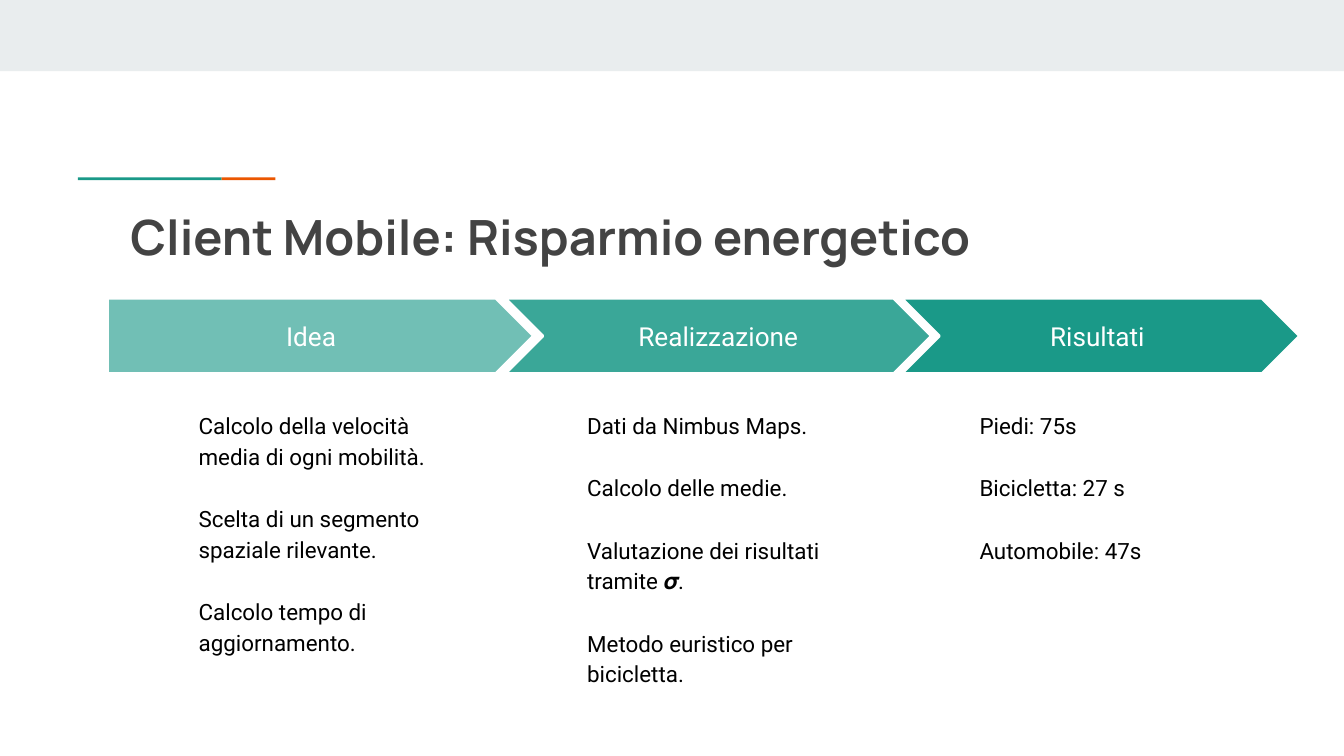
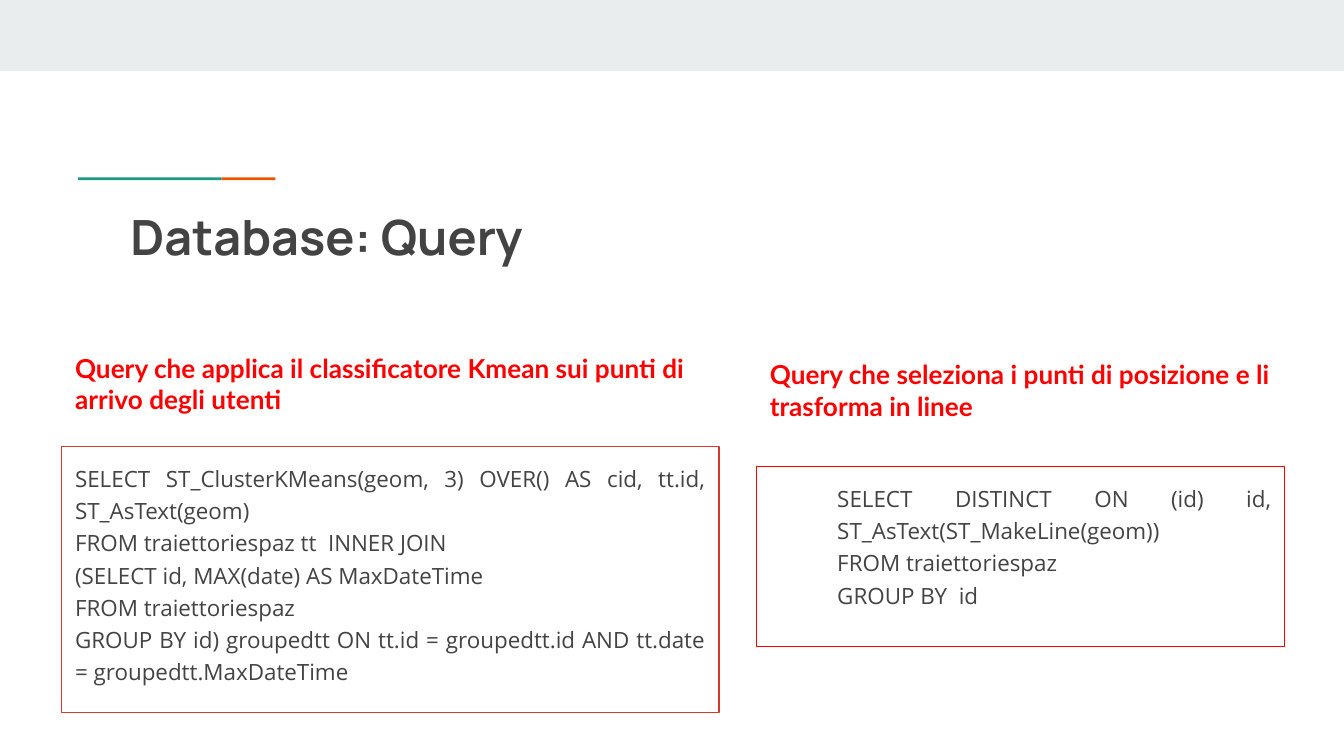
from pptx import Presentation
from pptx.dml.color import RGBColor
from pptx.enum.shapes import MSO_SHAPE
from pptx.enum.text import MSO_ANCHOR, MSO_AUTO_SIZE, PP_ALIGN
from pptx.oxml.ns import qn
from pptx.util import Inches, Pt
from lxml.etree import SubElement

# Shared colours and text formats
TEAL, ORANGE, BAND = "1A9988", "EB5600", "E9EDEE"
WHITE, BLACK, GREY, RED, BRICK = "FFFFFF", "000000", "434343", "FF0000", "D83829"

TITLE = {"name": "Manrope", "size": Pt(26), "bold": True}
STEP = {"name": "Roboto", "size": Pt(14)}
BODY = {"name": "Roboto", "size": Pt(12)}
HEADING = {"name": "Lato", "size": Pt(14), "bold": True}
CODE = {"name": "Open Sans", "size": Pt(12)}


def paint(shape, fill=None, line=None, width=0.75, opacity=100):
    shape.shadow.inherit = False
    if fill:
        shape.fill.solid()
        shape.fill.fore_color.rgb = RGBColor.from_string(fill)
        if opacity < 100:
            tint = shape.fill._xPr.find(qn("a:solidFill"))[0]
            SubElement(tint, qn("a:alpha")).set("val", str(opacity * 1000))
    else:
        shape.fill.background()
    if line:
        shape.line.color.rgb = RGBColor.from_string(line)
        shape.line.width = Pt(width)
    else:
        shape.line.fill.background()


def write(shape, lines, font, colour, layout=None, anchor=MSO_ANCHOR.TOP, left=0.1, gap=0):
    frame = shape.text_frame
    frame.word_wrap = True
    frame.auto_size = MSO_AUTO_SIZE.NONE
    frame.vertical_anchor = anchor
    frame.margin_left = Inches(left)
    frame.margin_top = frame.margin_right = frame.margin_bottom = Inches(0.1)
    for number, line in enumerate(lines):
        paragraph = frame.paragraphs[0] if number == 0 else frame.add_paragraph()
        paragraph.space_before = Pt(gap if number else 0)
        for key, value in ({"alignment": PP_ALIGN.LEFT} | (layout or {})).items():
            setattr(paragraph, key, value)
        run = paragraph.add_run()
        run.text = line
        run.font.color.rgb = RGBColor.from_string(colour)
        for key, value in font.items():
            setattr(run.font, key, value)


# Widescreen, 16:9
deck = Presentation()
deck.slide_width = Inches(10)
deck.slide_height = deck.slide_width * 9 // 16

# Both slides: top band, two-colour rule and title
slides = []
for heading in ("Client Mobile: Risparmio energetico", "Database: Query"):
    slide = deck.slides.add_slide(deck.slide_layouts[5])
    for x, y, w, h, colour in (
        (0, 0, 10, 0.53, BAND),
        (0.58, 1.32, 1.07, 0.02, TEAL),
        (1.65, 1.32, 0.4, 0.02, ORANGE),
    ):
        strip = slide.shapes.add_shape(
            MSO_SHAPE.RECTANGLE, Inches(x), Inches(y), Inches(w), Inches(h))
        paint(strip, colour)
    title = slide.shapes.title
    title.left, title.top = Inches(0.8), Inches(1.44)
    title.width, title.height = Inches(8.41), Inches(0.59)
    write(title, [heading], TITLE, GREY, left=0.17)
    slides.append(slide)

saving, queries = slides

# Slide 1: three process steps, the last one at the back
steps = (
    ("Risultati ", MSO_SHAPE.CHEVRON, 6.71, 2.96, 100, 7.19, 2,
     ["Piedi: 75s", "Bicicletta: 27 s", "Automobile: 47s"]),
    ("Idea", MSO_SHAPE.PENTAGON, 0.8, 3.17, 62, 1.38, 2,
     ["Calcolo della velocità media di ogni mobilità.",
      "Scelta di un segmento spaziale rilevante.",
      "Calcolo tempo di aggiornamento."]),
    ("Realizzazione", MSO_SHAPE.CHEVRON, 3.76, 3.17, 86, 4.27, 2.15,
     ["Dati da Nimbus Maps.",
      "Calcolo delle medie.",
      "Valutazione dei risultati tramite 𝝈.",
      "Metodo euristico per bicicletta."]),
)
for name, outline, x, w, opacity, notes_x, notes_w, points in steps:
    arrow = saving.shapes.add_shape(
        outline, Inches(x), Inches(2.22), Inches(w), Inches(0.56))
    arrow.adjustments[0] = 0.5
    paint(arrow, TEAL, WHITE, 1.5, opacity)
    write(arrow, [name], STEP, WHITE, {"alignment": PP_ALIGN.CENTER}, MSO_ANCHOR.MIDDLE)
    details = saving.shapes.add_textbox(
        Inches(notes_x), Inches(2.94), Inches(notes_w), Inches(2.17))
    write(details, points, BODY, BLACK, {"line_spacing": 1.15}, gap=16.7)

# Slide 2: two framed queries, each under its heading
query_blocks = (
    (0.46, 4.89, 2.52, 0.59, 3.32, 1.98, BRICK, 0.1,
     "Query che applica il classificatore Kmean sui punti di arrivo degli utenti",
     ["SELECT ST_ClusterKMeans(geom, 3) OVER() AS cid, tt.id, ST_AsText(geom)",
      "FROM traiettoriespaz tt  INNER JOIN",
      "(SELECT id, MAX(date) AS MaxDateTime",
      "FROM traiettoriespaz",
      "GROUP BY id) groupedtt ON tt.id = groupedtt.id AND tt.date = groupedtt.MaxDateTime"]),
    (5.63, 3.93, 2.57, 0.48, 3.47, 1.34, RED, 0.6,
     "Query che seleziona i punti di posizione e li trasforma in linee",
     ["SELECT DISTINCT ON (id) id, ST_AsText(ST_MakeLine(geom))",
      "FROM traiettoriespaz",
      "GROUP BY  id"]),
)
for x, w, purpose_y, purpose_h, code_y, code_h, border, left, purpose, code in query_blocks:
    frame = queries.shapes.add_shape(
        MSO_SHAPE.RECTANGLE, Inches(x), Inches(code_y), Inches(w), Inches(code_h))
    paint(frame, line=border)
    write(frame, code, CODE, GREY,
          {"alignment": PP_ALIGN.JUSTIFY, "line_spacing": 1.2}, left=left)
    caption = queries.shapes.add_textbox(
        Inches(x), Inches(purpose_y), Inches(w), Inches(purpose_h))
    write(caption, [purpose], HEADING, RED)

deck.save("out.pptx")
